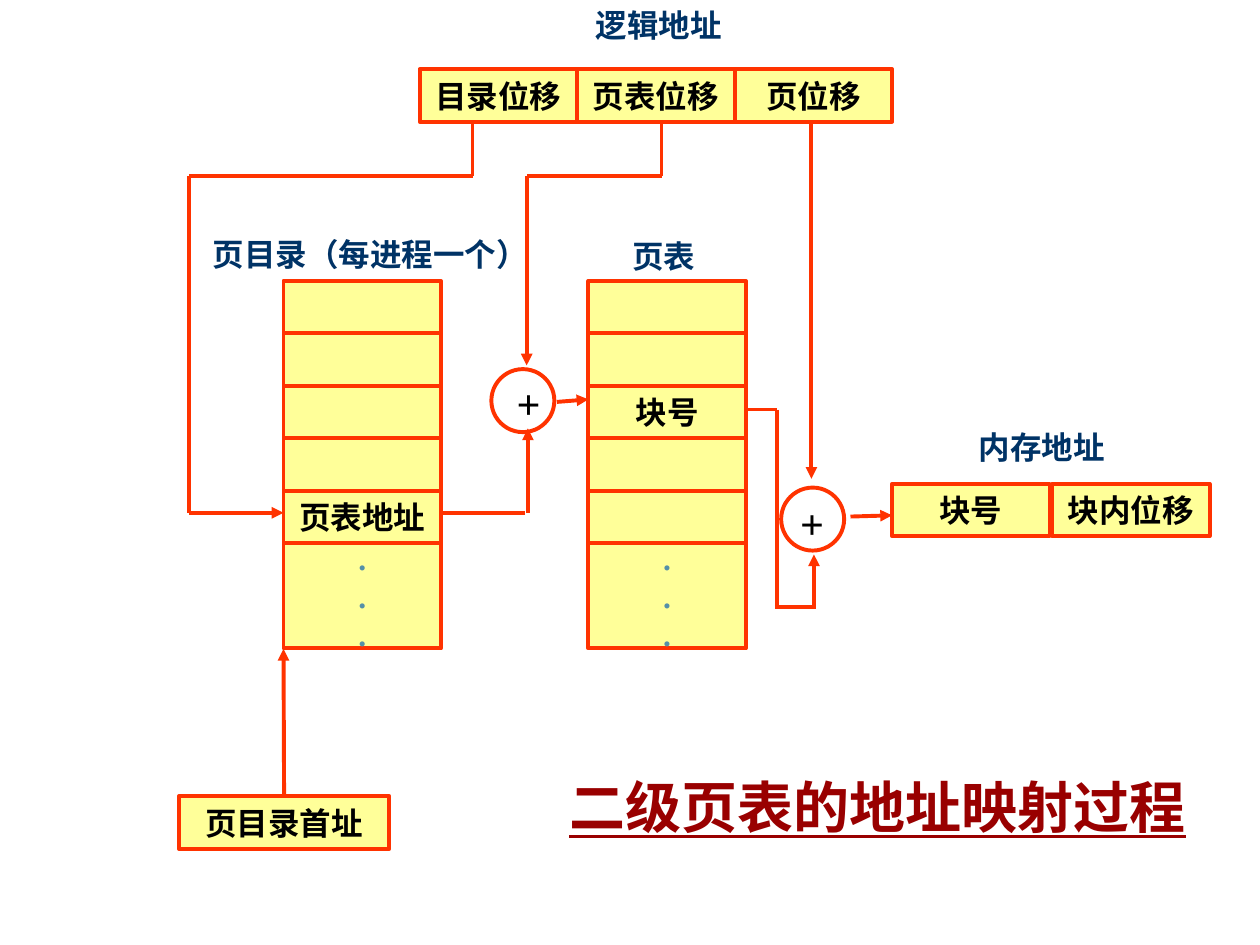
from itertools import pairwise

from lxml import etree
from pptx import Presentation
from pptx.dml.color import RGBColor
from pptx.enum.shapes import MSO_CONNECTOR, MSO_SHAPE
from pptx.enum.text import MSO_ANCHOR, MSO_AUTO_SIZE, PP_ALIGN
from pptx.oxml.ns import qn
from pptx.util import Inches, Pt

RECTANGLE, CIRCLE = MSO_SHAPE.RECTANGLE, MSO_SHAPE.OVAL
STRAIGHT = MSO_CONNECTOR.STRAIGHT
MIDDLE = MSO_ANCHOR.MIDDLE
GROW = MSO_AUTO_SIZE.SHAPE_TO_FIT_TEXT
LEFT, CENTER = PP_ALIGN.LEFT, PP_ALIGN.CENTER

YELLOW = RGBColor(0xFF, 0xFF, 0x99)
ORANGE = RGBColor(0xFF, 0x33, 0x00)
NAVY = RGBColor(0x00, 0x33, 0x66)
TEAL = RGBColor(0x54, 0x90, 0xA8)
DARK_RED = RGBColor(0x99, 0x00, 0x00)
BLACK = RGBColor(0x00, 0x00, 0x00)

CELL_WIDTH = 1.25
CELL_HEIGHT = CELL_WIDTH / 3
TABLE_TOP = 2.23
DOTS = ".\n.\n."
TOP_SIDE = 0


class Diagram:
    FONT = {"name": "Times New Roman", "size": Pt(18), "bold": True}
    LINE_WIDTH = Pt(2.25)

    def __init__(self, page):
        self.page = page

    def add_text(self, box, text, color, align, **changes):
        frame = box.text_frame
        for index, words in enumerate(text.split("\n")):
            para = frame.add_paragraph() if index else frame.paragraphs[0]
            para.alignment = align
            span = para.add_run()
            span.text = words
            for name, value in {**self.FONT, **changes}.items():
                setattr(span.font, name, value)
            span.font.color.rgb = color

    def label(self, text, left, top, width, height=0.4, color=NAVY,
              align=LEFT, wrap=False, **changes):
        box = self.page.shapes.add_textbox(
            Inches(left), Inches(top), Inches(width), Inches(height))
        box.text_frame.word_wrap = wrap
        box.text_frame.auto_size = GROW
        self.add_text(box, text, color, align, **changes)

    def outline(self, kind, left, top, width, height):
        shape = self.page.shapes.add_shape(
            kind, Inches(left), Inches(top), Inches(width), Inches(height))
        shape.shadow.inherit = False
        shape.line.color.rgb = ORANGE
        shape.line.width = self.LINE_WIDTH
        return shape

    def cell(self, text, left, top, width=CELL_WIDTH, height=CELL_HEIGHT,
             color=BLACK):
        shape = self.outline(RECTANGLE, left, top, width, height)
        shape.fill.solid()
        shape.fill.fore_color.rgb = YELLOW
        shape.text_frame.word_wrap = False
        shape.text_frame.vertical_anchor = MIDDLE
        if text:
            self.add_text(shape, text, color, CENTER)
        return shape

    def column(self, left, entries):
        """Draw the equal entries and a double-height cell of dots."""
        for row, text in enumerate(entries):
            self.cell(text, left, TABLE_TOP + row * CELL_HEIGHT)
        self.cell(DOTS, left, TABLE_TOP + len(entries) * CELL_HEIGHT,
                  height=2 * CELL_HEIGHT, color=TEAL)

    def adder(self, left, top, plus_left, plus_top):
        self.label("+", plus_left, plus_top, 0.39, 0.5, color=BLACK,
                   align=CENTER, size=Pt(24))
        self.outline(CIRCLE, left, top, 0.5, 0.5).fill.background()

    def line(self, start, end, arrow=False):
        connector = self.page.shapes.add_connector(
            STRAIGHT, *(Inches(value) for value in (*start, *end)))
        connector.line.color.rgb = ORANGE
        connector.line.width = self.LINE_WIDTH
        properties = connector._element.spPr
        if arrow:
            etree.SubElement(properties.find(qn("a:ln")),
                             qn("a:tailEnd"), type="triangle")
        etree.SubElement(properties, qn("a:effectLst"))
        return connector

    def route(self, *points, arrow=True):
        """Draw straight segments through the points, the last with a head."""
        segments = list(pairwise(points))
        for index, (start, end) in enumerate(segments, 1):
            self.line(start, end, arrow and index == len(segments))


def main():
    deck = Presentation()
    deck.slide_width, deck.slide_height = Inches(10), Inches(7.5)
    diagram = Diagram(deck.slides.add_slide(deck.slide_layouts[6]))

    diagram.label("二级页表的地址映射过程", 4.42, 6.08, 5.13, 0.64,
                  color=DARK_RED, wrap=True, size=Pt(32), underline=True)

    for text, left, top, width in (
            ("逻辑地址", 4.63, 0, 1.2),
            ("页目录（每进程一个）", 1.59, 1.82, 2.7),
            ("页表", 4.92, 1.83, 0.7),
            ("内存地址", 7.67, 3.35, 1.2)):
        diagram.label(text, left, top, width)

    directory_base = diagram.cell("页目录首址", 1.42, 6.32, width=1.67)
    for index, text in enumerate(("目录位移", "页表位移", "页位移")):
        diagram.cell(text, 3.33 + index * CELL_WIDTH, 0.55)
    diagram.column(2.25, ("", "", "", "", "页表地址"))
    diagram.column(4.67, ("", "", "块号", "", ""))
    diagram.cell("块号", 7.08, 3.84)
    diagram.cell("块内位移", 8.35, 3.84)

    # Directory offset selects an entry of the page directory
    diagram.route((3.75, 0.98), (3.75, 1.4), (1.5, 1.4), (1.5, 4.07),
                  (2.25, 4.07))
    base_arrow = diagram.line((2.25, 6.32), (2.25, 5.15), arrow=True)
    base_arrow.begin_connect(directory_base, TOP_SIDE)

    # Page table address plus page table offset
    diagram.route((3.5, 4.07), (4.17, 4.07), arrow=False)
    diagram.route((4.19, 4.07), (4.19, 3.4))
    diagram.route((5.25, 0.98), (5.25, 1.4), (4.18, 1.4), (4.18, 2.9))
    diagram.route((4.42, 3.19), (4.67, 3.17))
    diagram.adder(3.9, 2.93, 4, 2.95)

    # Block number plus page offset
    diagram.route((5.92, 3.25), (6.17, 3.25), (6.17, 4.82), arrow=False)
    diagram.route((6.15, 4.82), (6.48, 4.82), arrow=False)
    diagram.route((6.46, 4.82), (6.46, 4.4))
    diagram.route((6.44, 0.97), (6.44, 3.8))
    diagram.route((6.75, 4.1), (7.08, 4.09))
    diagram.adder(6.2, 3.87, 6.25, 3.9)

    deck.save("out.pptx")


if __name__ == "__main__":
    main()
